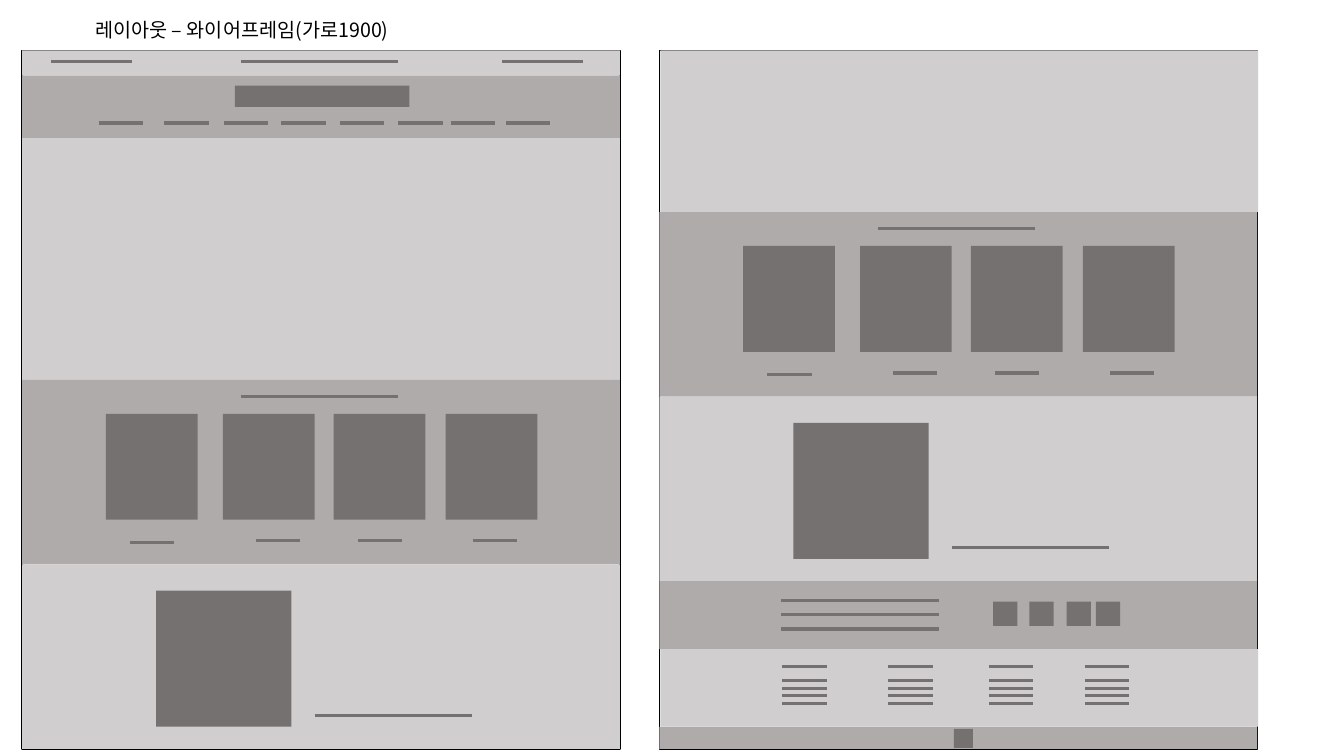
from dataclasses import dataclass

from lxml.etree import SubElement
from pptx import Presentation
from pptx.dml.color import RGBColor as Rgb
from pptx.enum.shapes import MSO_CONNECTOR as Link, MSO_SHAPE as Kind
from pptx.enum.text import MSO_ANCHOR as Anchor, PP_ALIGN as Align
from pptx.oxml.ns import qn
from pptx.util import Inches, Pt


@dataclass(frozen=True)
class Theme:
    ink: str = "000000"
    light: str = "D0CECE"
    mid: str = "AFABAB"
    dark: str = "767171"
    font: str = "Noto Sans CJK KR"
    title: float = 14
    edge: float = 1
    stroke: float = 2.25


@dataclass(frozen=True)
class Box:
    x: float
    y: float
    w: float
    h: float
    fill: str


@dataclass(frozen=True)
class Rule:
    x: float
    y: float
    w: float


THEME = Theme()
COLS, ROWS = 1333, 750
CELL = Inches(0.01)
TOP, WIDE, TALL = 50, 593, 693
LEFT, RIGHT = 22, 654
LONG, SHORT = 156, 44


def span(n: float) -> int:
    """Turn grid cells into a slide length."""
    return round(n * CELL)


def place(slide, box: Box):
    rect = slide.shapes.add_shape(
        Kind.RECTANGLE, span(box.x), span(box.y), span(box.w), span(box.h))
    rect.shadow.inherit = False
    if box.fill:
        rect.fill.solid()
        rect.fill.fore_color.rgb = Rgb.from_string(box.fill)
        rect.line.fill.background()
    else:
        rect.fill.background()
        rect.line.color.rgb = Rgb.from_string(THEME.ink)
        rect.line.width = Pt(THEME.edge)


def rule(slide, item: Rule):
    line = slide.shapes.add_connector(
        Link.STRAIGHT, span(item.x), span(item.y),
        span(item.x + item.w), span(item.y))
    line.line.color.rgb = Rgb.from_string(THEME.dark)
    line.line.width = Pt(THEME.stroke)
    SubElement(line._element.spPr, qn("a:effectLst"))


def draw(slide, left: float, items: list):
    """Draw parts whose x is counted from the page's left edge."""
    for item in items:
        if isinstance(item, Box):
            place(slide, Box(item.x + left, item.y, item.w, item.h, item.fill))
        else:
            rule(slide, Rule(item.x + left, item.y, item.w))


def bands(rows: list) -> list:
    """Stack full-width bands of (height, inset), shading every other one."""
    out, y = [], TOP
    for i, (tall, inset) in enumerate(rows):
        out.append(Box(inset, y, WIDE, tall, (THEME.light, THEME.mid)[i % 2]))
        y += tall
    return out


def frame() -> list:
    return [Box(0, TOP, WIDE, TALL, "")]


def header() -> list:
    tops = [Rule(x, 61, w) for x, w in ((29, 80), (217, LONG), (476, 80))]
    menu = [Rule(x, 122, SHORT)
            for x in (76, 141, 200, 257, 315, 373, 425, 480)]
    return [*tops, Box(211, 85, 173, 21, THEME.dark), *menu]


def cards(y: float) -> list:
    """Heading, four cards and their captions, from the band's top."""
    tiles = [Box(x, y + 33.5, 91, 105, THEME.dark)
             for x in (83, 199, 309, 420)]
    names = [Rule(x, y + drop, SHORT) for x, drop in
             ((107, 161), (231.5, 159.5), (333, 159.5), (447, 159.5))]
    return [Rule(217, y + 16, LONG), *tiles, *names]


def story(y: float) -> list:
    return [Box(133, y + 26, 134, 135, THEME.dark), Rule(290, y + 150, LONG)]


def footer() -> list:
    text = [Rule(121, y, LONG) for y in (596, 609.5, 624)]
    icons = [Box(x, 597, 24, 24, THEME.dark) for x in (331, 367, 404, 433)]
    links = [Rule(x, y, SHORT) for y in (661, 675, 683, 690, 698)
             for x in (122, 227, 327, 422)]
    return [*text, *icons, *links, Box(292, 723, 19, 19, THEME.dark)]


def title(slide, text: str):
    box = slide.shapes.add_textbox(0, 0, span(480), span(61))
    para = box.text_frame.paragraphs[0]
    run = para.add_run()
    run.text = text
    looks = {
        box.text_frame: {"word_wrap": True, "vertical_anchor": Anchor.MIDDLE},
        para: {"alignment": Align.CENTER, "line_spacing": 0.9},
        run.font: {"name": THEME.font, "size": Pt(THEME.title)},
        run.font.color: {"rgb": Rgb.from_string(THEME.ink)},
    }
    for part, look in looks.items():
        for key, value in look.items():
            setattr(part, key, value)
    SubElement(run.font._element, qn("a:ea"), typeface=THEME.font)


def main():
    deck = Presentation()
    deck.slide_width, deck.slide_height = span(COLS), span(ROWS)
    slide = deck.slides.add_slide(deck.slide_layouts[6])
    title(slide, "레이아웃 – 와이어프레임(가로1900)")
    first = [(25, 0), (62, 0), (240, 0), (183, 0), (183, 0)]
    second = [(160.5, 1), (183, 0), (183, 0), (67.5, 0), (77, 1), (22, 0)]
    draw(slide, LEFT, [*frame(), *bands(first), *header(),
                       *cards(377), *story(560)])
    draw(slide, RIGHT, [*frame(), *bands(second), *cards(210.5),
                        *story(393.5), *footer()])
    deck.save("out.pptx")


if __name__ == "__main__":
    main()
